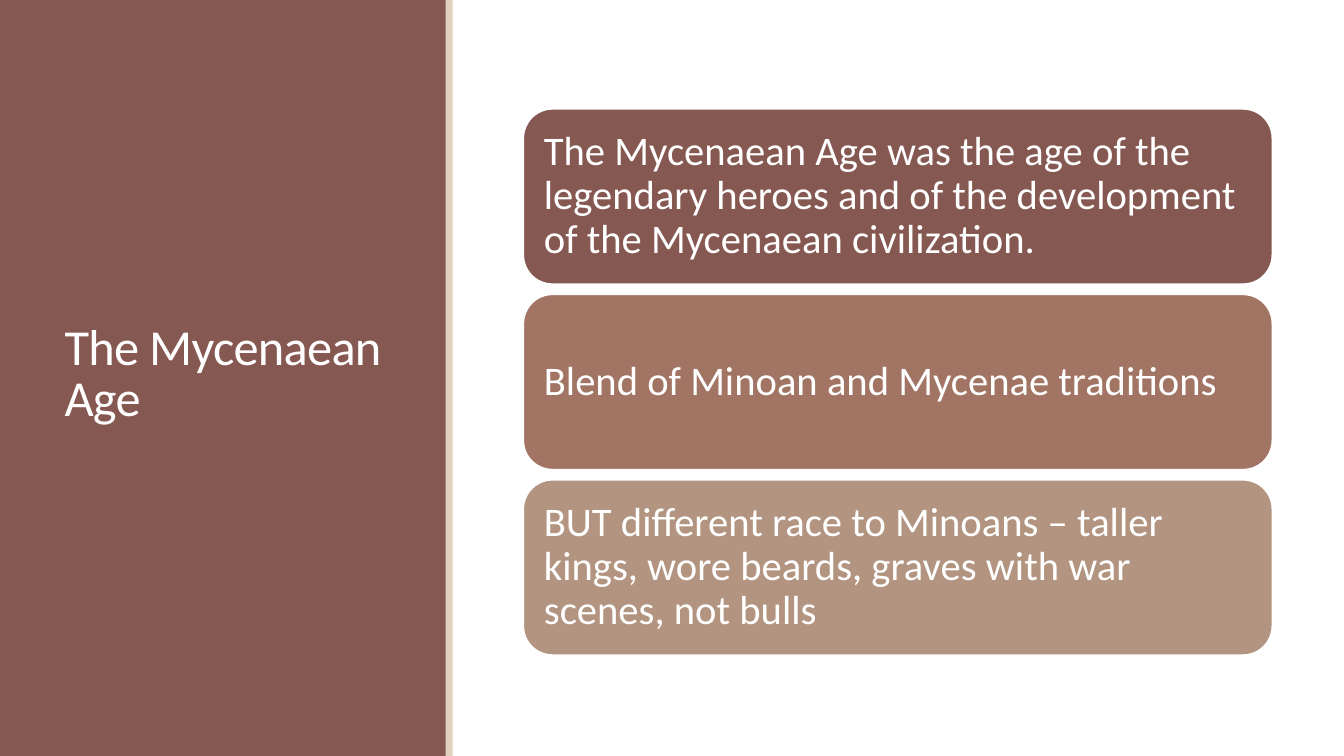
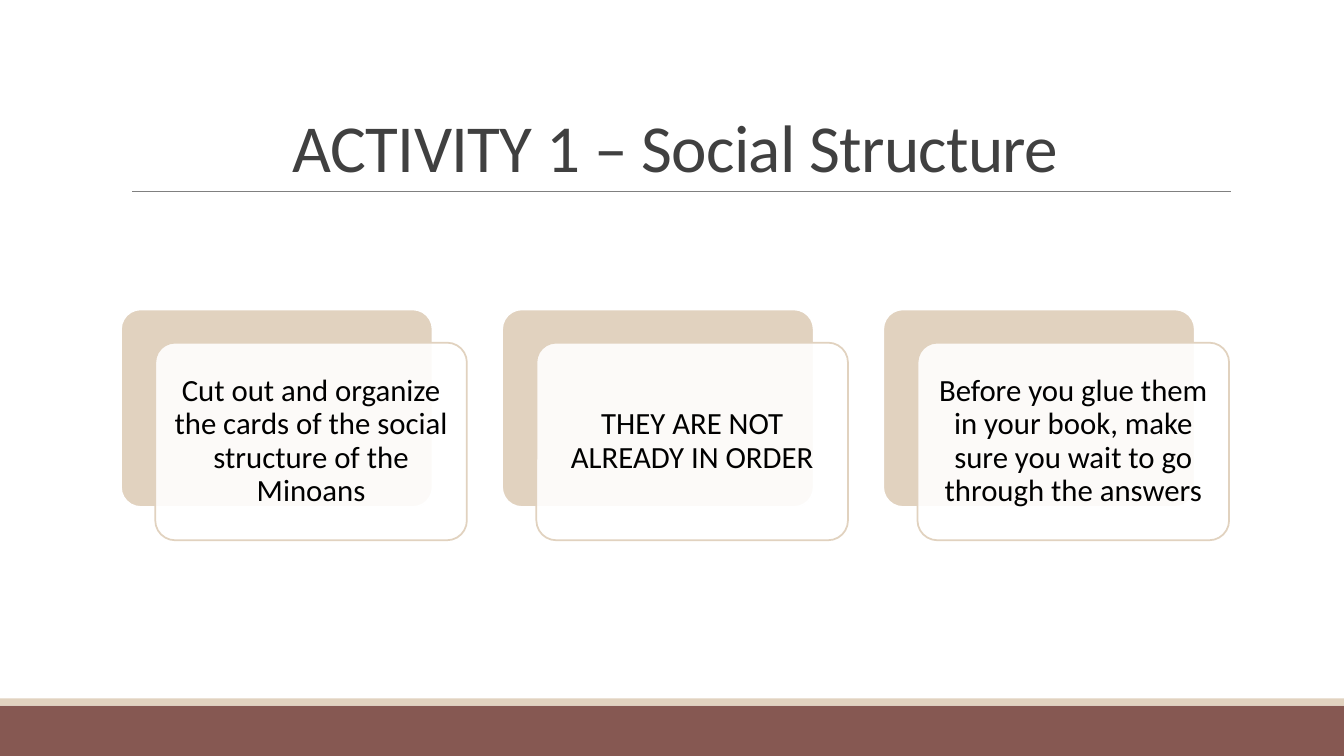
from dataclasses import dataclass

from lxml import etree
from pptx import Presentation
from pptx.dml.color import RGBColor
from pptx.enum import shapes, text
from pptx.oxml import ns
from pptx.util import Inches, Pt


@dataclass(frozen=True)
class Theme:
    font: str = "Calibri"
    white: str = "FFFFFF"
    black: str = "000000"
    heading: str = "404040"
    rule: str = "808080"
    brown: str = "865852"
    clay: str = "A17464"
    tan: str = "B29480"
    sand: str = "E1D2BF"
    title_size: int = 48
    side_title_size: int = 36
    statement_size: int = 29
    card_size: int = 22
    outline: float = 1.25
    rule_width: float = 0.5


LEFT, CENTER = text.PP_ALIGN.LEFT, text.PP_ALIGN.CENTER
MIDDLE, BOTTOM = text.MSO_ANCHOR.MIDDLE, text.MSO_ANCHOR.BOTTOM


class SlideBuilder:
    TITLE_ONLY = 5

    def __init__(self, theme):
        self.theme = theme
        self.deck = Presentation()
        self.deck.slide_width = Inches(13.33)
        self.deck.slide_height = Inches(7.5)
        self.page = None

    def new_page(self):
        self.page = self.deck.slides.add_slide(self.deck.slide_layouts[self.TITLE_ONLY])

    def set_text(self, shape, words, size, color, align, anchor, spacing):
        frame = shape.text_frame
        frame.text = words
        frame.word_wrap = True
        frame.auto_size = text.MSO_AUTO_SIZE.NONE
        frame.vertical_anchor = anchor
        para = frame.paragraphs[0]
        para.alignment = align
        para.line_spacing = spacing
        span = para.runs[0]
        span.font.name = self.theme.font
        span.font.size = Pt(size)
        span.font.color.rgb = RGBColor.from_string(color)

    def title(self, words, place, size, color, align, anchor):
        title = self.page.shapes.title
        title.left, title.top, title.width, title.height = map(Inches, place)
        self.set_text(title, words, size, color, align, anchor, 0.85)
        # Tighten the letters and keep the title in front of the bands
        title.element.find(".//" + ns.qn("a:rPr")).set("spc", "-50")
        self.page.shapes.element.append(title.element)

    def box(self, kind, place, fill, line=None, opacity=None):
        box = self.page.shapes.add_shape(kind, *map(Inches, place))
        box.shadow.inherit = False
        box.fill.solid()
        box.fill.fore_color.rgb = RGBColor.from_string(fill)
        if opacity is not None:
            color = box.element.spPr.find(ns.qn("a:solidFill"))[0]
            etree.SubElement(color, ns.qn("a:alpha"), val=str(opacity * 1000))
        if line:
            box.line.color.rgb = RGBColor.from_string(line)
            box.line.width = Pt(self.theme.outline)
        else:
            box.line.fill.background()
        return box

    def band(self, place, fill):
        return self.box(shapes.MSO_SHAPE.RECTANGLE, place, fill)

    def panel(self, place, fill, line, corner=None, opacity=None):
        panel = self.box(shapes.MSO_SHAPE.ROUNDED_RECTANGLE, place, fill, line, opacity)
        if corner is not None:
            panel.adjustments[0] = corner
        return panel

    def panel_text(self, panel, words, size, color, align, inset):
        frame = panel.text_frame
        frame.margin_left = frame.margin_right = Inches(inset)
        frame.margin_top = frame.margin_bottom = Inches(inset)
        self.set_text(panel, words, size, color, align, MIDDLE, 0.9)

    def rule(self, left, right, top):
        rule = self.page.shapes.add_connector(
            shapes.MSO_CONNECTOR.STRAIGHT, *map(Inches, (left, top, right, top)))
        rule.line.color.rgb = RGBColor.from_string(self.theme.rule)
        rule.line.width = Pt(self.theme.rule_width)
        etree.SubElement(rule.element.spPr, ns.qn("a:effectLst"))

    def statement(self, words, place, fill):
        panel = self.panel(place, fill, self.theme.white)
        self.panel_text(panel, words, self.theme.statement_size, self.theme.white, LEFT, 0.12)

    def card(self, words, left, top, width, height):
        theme = self.theme
        self.panel((left, top, width, height), theme.sand, theme.white, 0.1)
        front = self.panel((left + 0.34, top + 0.33, width, height),
                           theme.white, theme.sand, 0.1, 90)
        self.panel_text(front, words, theme.card_size, theme.black, CENTER, 0.09)


def mycenaean_age(builder):
    theme = builder.theme
    builder.new_page()

    # Side band with the title
    builder.band((0, 0, 4.43, 7.5), theme.brown)
    builder.band((4.42, 0, 0.07, 7.5), theme.sand)
    builder.title("The Mycenaean Age", (0.54, 0.57, 3.37, 6.31),
                  theme.side_title_size, theme.white, LEFT, MIDDLE)

    # Stacked statements
    statements = [
        ("The Mycenaean Age was the age of the legendary heroes and of the "
         "development of the Mycenaean civilization.", theme.brown),
        ("Blend of Minoan and Mycenae traditions", theme.clay),
        ("BUT different race to Minoans – taller kings, wore beards, graves "
         "with war scenes, not bulls", theme.tan),
    ]
    height, gap = 1.74, 0.1
    for row, (words, fill) in enumerate(statements):
        builder.statement(words, (5.19, 1.08 + row * (height + gap), 7.43, height), fill)


def social_structure(builder):
    theme = builder.theme
    builder.new_page()

    # Footer bands, title and rule
    builder.band((0, 7, 13.33, 0.5), theme.brown)
    builder.band((0, 6.93, 13.33, 0.07), theme.sand)
    builder.rule(1.31, 12.21, 1.9)
    builder.title("ACTIVITY 1 – Social Structure", (1.2, 0.31, 11, 1.59),
                  theme.title_size, theme.heading, CENTER, BOTTOM)

    # Row of layered cards
    cards = [
        "Cut out and organize the cards of the social structure of the Minoans",
        "THEY ARE NOT ALREADY IN ORDER",
        "Before you glue them in your book, make sure you wait to go through the answers",
    ]
    width, gap = 3.09, 0.69
    for column, words in enumerate(cards):
        builder.card(words, 1.2 + column * (width + gap), 3.07, width, 1.96)


def main():
    builder = SlideBuilder(Theme())
    mycenaean_age(builder)
    social_structure(builder)
    builder.deck.save("out.pptx")


if __name__ == "__main__":
    main()
